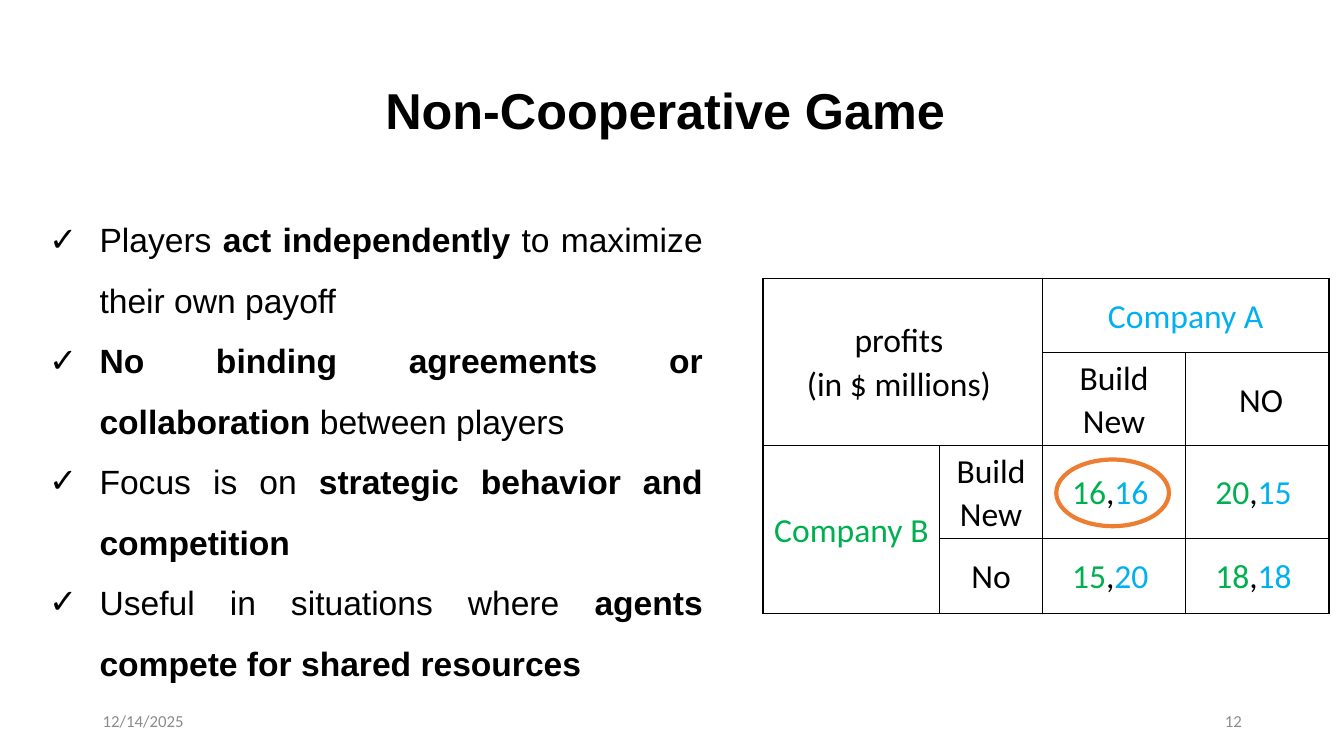
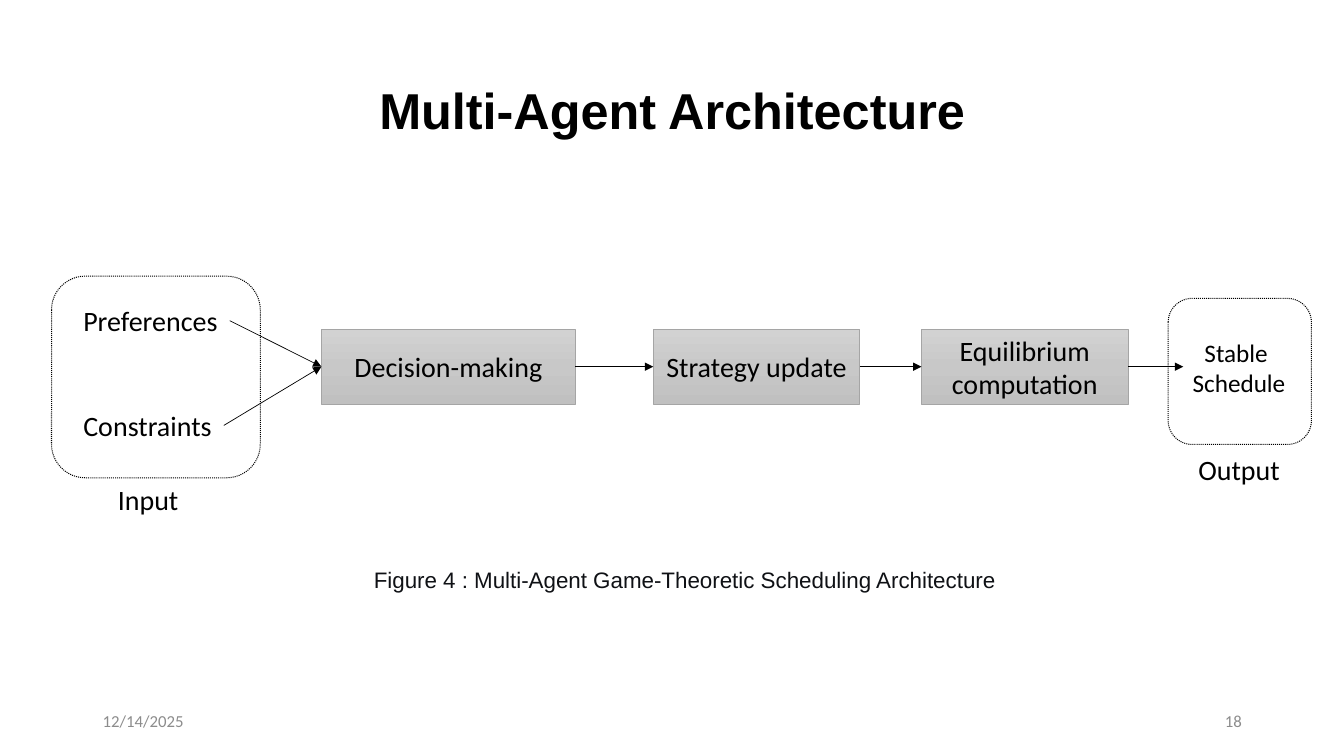
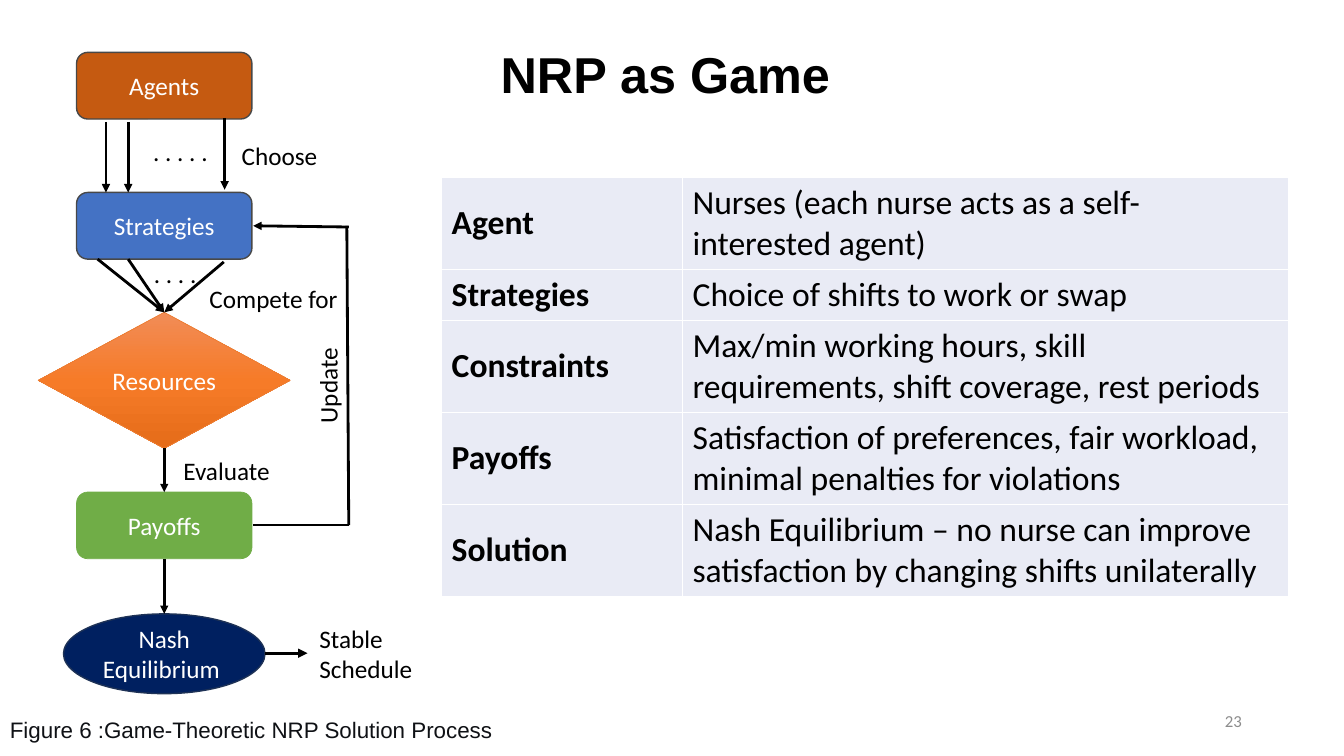
"""Build three slides on game theory for nurse rostering."""
from copy import deepcopy
from dataclasses import dataclass

from lxml import etree
from pptx import Presentation
from pptx.dml.color import RGBColor
from pptx.enum.dml import MSO_LINE
from pptx.enum.shapes import MSO_CONNECTOR, MSO_SHAPE
from pptx.enum.text import MSO_ANCHOR, PP_ALIGN
from pptx.oxml.ns import qn
from pptx.util import Cm, Pt

LEFT, CENTER = PP_ALIGN.LEFT, PP_ALIGN.CENTER
RIGHT, JUSTIFY = PP_ALIGN.RIGHT, PP_ALIGN.JUSTIFY
TOP, MIDDLE = MSO_ANCHOR.TOP, MSO_ANCHOR.MIDDLE
RECTANGLE, ROUNDED = MSO_SHAPE.RECTANGLE, MSO_SHAPE.ROUNDED_RECTANGLE
ELLIPSE, DECISION = MSO_SHAPE.OVAL, MSO_SHAPE.FLOWCHART_DECISION
STRAIGHT, DOTTED = MSO_CONNECTOR.STRAIGHT, MSO_LINE.ROUND_DOT


@dataclass(frozen=True)
class Theme:
    """Colours, fonts and type sizes shared by the slides."""
    heading_font: str = "Arial"
    body_font: str = "Calibri"
    black: str = "000000"
    white: str = "FFFFFF"
    footer: str = "8C8C8C"
    caption: str = "0F1115"
    player_a: str = "00B0F0"
    player_b: str = "00B050"
    accent: str = "ED7D31"
    table_fill: str = "E9EBF5"
    step_line: str = "A5A5A5"
    node_line: str = "484848"
    agents: str = "C55A11"
    strategies: str = "4472C4"
    payoffs: str = "70AD47"
    equilibrium: str = "002060"
    equilibrium_line: str = "1E3256"
    step_gradient: tuple = ("D2D2D2", "C8C8C8", "C0C0C0")
    resource_gradient: tuple = ("F18C57", "F67B28", "E56C19")
    title_size: int = 36
    body_size: int = 24
    diagram_size: int = 20
    label_size: int = 18
    caption_size: int = 16
    footer_size: int = 12


THEME = Theme()


def rgb(value):
    """Turn a hex string into a colour."""
    return RGBColor.from_string(value)


def add_bullet(para, symbol, indent):
    """Give a paragraph a hanging bullet."""
    properties = para._p.get_or_add_pPr()
    properties.set("marL", str(Cm(indent)))
    properties.set("indent", str(-Cm(indent)))
    etree.SubElement(properties, qn("a:buFont")).set("typeface", "Wingdings")
    etree.SubElement(properties, qn("a:buChar")).set("char", symbol)
    properties.find(qn("a:buFont")).set("typeface", "Arial")


def write(frame, paragraphs, size=THEME.label_size, font=THEME.body_font,
          color=THEME.black, bold=False, align=LEFT, spacing=None, bullet=None):
    """Fill a text frame; a paragraph is a string or a list of (text, format) spans."""
    for index, spans in enumerate(paragraphs):
        para = frame.add_paragraph() if index else frame.paragraphs[0]
        para.alignment = align
        if spacing:
            para.line_spacing = spacing
        if bullet:
            add_bullet(para, bullet, 1.27)
        for text, changes in [(spans, {})] if isinstance(spans, str) else spans:
            span = para.add_run()
            span.text = text
            span.font.name = font
            span.font.size = Pt(size)
            span.font.bold = changes.get("bold", bold)
            span.font.color.rgb = rgb(changes.get("color", color))


def add_text(page, place, *paragraphs, anchor=TOP, wrap=True, vertical=None, **style):
    """Add a text box at a place given in centimetres."""
    frame = page.shapes.add_textbox(*map(Cm, place)).text_frame
    frame.word_wrap = wrap
    frame.vertical_anchor = anchor
    if vertical:
        frame._txBody.bodyPr.set("vert", vertical)
    write(frame, paragraphs, **style)


def paint(shape, fill):
    """Fill a shape with nothing, one colour or a vertical three-colour gradient."""
    if fill is None:
        shape.fill.background()
    elif isinstance(fill, str):
        shape.fill.solid()
        shape.fill.fore_color.rgb = rgb(fill)
    else:
        shape.fill.gradient()
        shape.fill.gradient_angle = 270
        stops = shape._element.spPr.find(qn("a:gradFill")).find(qn("a:gsLst"))
        stops.insert(1, deepcopy(stops[0]))
        for index, stop in enumerate(shape.fill.gradient_stops):
            stop.position = index / 2
            stop.color.rgb = rgb(fill[index])


def add_box(page, kind, place, text=None, fill=None, line=THEME.black, width=1,
            dash=None, **style):
    """Add a preset shape with optional centred text."""
    box = page.shapes.add_shape(kind, *map(Cm, place))
    box.shadow.inherit = False
    paint(box, fill)
    box.line.color.rgb = rgb(line)
    box.line.width = Pt(width)
    if dash:
        box.line.dash_style = dash
    if text:
        box.text_frame.word_wrap = True
        box.text_frame.vertical_anchor = MIDDLE
        write(box.text_frame, [text], align=CENTER, **style)


def add_line(page, start, end, width=2, arrow=True):
    """Add a straight line, with an arrowhead at its end if asked."""
    connector = page.shapes.add_connector(STRAIGHT, *map(Cm, (*start, *end)))
    connector.line.color.rgb = rgb(THEME.black)
    connector.line.width = Pt(width)
    properties = connector._element.spPr
    if arrow:
        outline = properties.find(qn("a:ln"))
        etree.SubElement(outline, qn("a:tailEnd")).set("type", "triangle")
    etree.SubElement(properties, qn("a:effectLst"))


def add_borders(cell, color):
    """Draw a one-point line on each side of a table cell."""
    properties = cell._tc.get_or_add_tcPr()
    for side in ("a:lnL", "a:lnR", "a:lnT", "a:lnB"):
        line = etree.SubElement(properties, qn(side))
        line.set("w", str(Pt(1)))
        fill = etree.SubElement(line, qn("a:solidFill"))
        etree.SubElement(fill, qn("a:srgbClr")).set("val", color)


def add_grid(page, corner, widths, heights, border, fill=None, margins=None):
    """Add an empty table with plain borders and return it."""
    size = (sum(widths), sum(heights))
    table = page.shapes.add_table(len(heights), len(widths),
                                  *map(Cm, (*corner, *size))).table
    table.first_row = table.horz_banding = False
    for column, width in zip(table.columns, widths):
        column.width = Cm(width)
    for row, height in zip(table.rows, heights):
        row.height = Cm(height)
    for cell in table.iter_cells():
        add_borders(cell, border)
        cell.vertical_anchor = MIDDLE
        if fill:
            cell.fill.solid()
            cell.fill.fore_color.rgb = rgb(fill)
        else:
            cell.fill.background()
        if margins:
            cell.margin_left = cell.margin_right = Cm(margins[0])
            cell.margin_top = cell.margin_bottom = Cm(margins[1])
    return table


def add_page(deck, title, number, title_top=1.02, date=None):
    """Add a blank slide with its title and footer."""
    page = deck.slides.add_slide(deck.slide_layouts[6])
    add_text(page, (2.34, title_top, 29.21, 3.68), title, anchor=MIDDLE,
             size=THEME.title_size, font=THEME.heading_font, bold=True,
             align=CENTER, spacing=0.9)
    for left, text, align in ((2.34, date, LEFT), (23.93, number, RIGHT)):
        if text:
            add_text(page, (left, 17.65, 7.62, 1.02), text, anchor=MIDDLE,
                     size=THEME.footer_size, color=THEME.footer, align=align)
    return page


def add_caption(page, left, top, text):
    """Add a figure caption."""
    add_text(page, (left, top, 16.92, 0.94), text, size=THEME.caption_size,
             font=THEME.heading_font, color=THEME.caption)


def payoff(profit_b, profit_a):
    """Return one table paragraph with both players' profits."""
    return [[(profit_b, {"color": THEME.player_b}), (",", {}),
             (profit_a + " ", {"color": THEME.player_a})]]


def build_game(deck, date):
    """Build the slide on non-cooperative games."""
    page = add_page(deck, "Non-Cooperative Game ", "12", date=date)
    strong = {"bold": True}
    add_text(
        page, (0.99, 4.93, 16.97, 12.37),
        [("Players ", {}), ("act independently", strong),
         (" to maximize their own payoff", {})],
        [("No binding agreements or collaboration", strong),
         (" between players", {})],
        [("Focus is on ", {}), ("strategic behavior and competition", strong)],
        [("Useful in situations where ", {}),
         ("agents compete for shared resources", strong)],
        anchor=MIDDLE, size=THEME.body_size, font=THEME.heading_font,
        align=JUSTIFY, spacing=1.5, bullet="✓")
    add_box(page, ELLIPSE, (26.62, 11.58, 2.84, 1.68), fill=THEME.white,
            line=THEME.accent, width=3)
    table = add_grid(page, (19.23, 7.01), (4.45, 2.59, 3.61, 3.61),
                     (1.88, 2.34, 2.34, 1.88), THEME.black, margins=(0.18, 0))
    for first, last in (((0, 0), (1, 1)), ((0, 2), (0, 3)), ((2, 0), (3, 0))):
        table.cell(*first).merge(table.cell(*last))
    entries = {
        (0, 0): ["profits ", "(in $ millions) "],
        (0, 2): [[("Company A", {"color": THEME.player_a})]],
        (1, 2): ["Build New"],
        (1, 3): [" NO"],
        (2, 0): [[("Company B", {"color": THEME.player_b})]],
        (2, 1): ["Build New"],
        (2, 2): payoff("16", "16"),
        (2, 3): payoff("20", "15"),
        (3, 1): ["No"],
        (3, 2): payoff("15", "20"),
        (3, 3): payoff("18", "18"),
    }
    for position, paragraphs in entries.items():
        write(table.cell(*position).text_frame, paragraphs,
              size=THEME.body_size, align=CENTER, spacing=1.07)


def build_architecture(deck, date):
    """Build the slide on the multi-agent architecture."""
    page = add_page(deck, "Multi-Agent Architecture", "18", date=date)
    middle, height = 9.24, 1.88
    for left, width, text in ((8.1, 6.4, "Decision-making"),
                              (16.46, 5.21, "Strategy update"),
                              (23.22, 5.21, "Equilibrium computation")):
        add_box(page, RECTANGLE, (left, middle - height / 2, width, height), text,
                fill=THEME.step_gradient, line=THEME.step_line, width=0.5,
                size=THEME.diagram_size)
    for start, end in ((14.5, 16.46), (21.67, 23.22), (28.43, 29.82)):
        add_line(page, (start, middle), (end, middle), width=0.5)
    for start in ((5.79, 8.08), (5.64, 10.72)):
        add_line(page, start, (8.1, middle), width=0.5)
    for place in ((1.3, 6.96, 5.26, 5.08), (29.44, 7.52, 3.61, 3.68)):
        add_box(page, ROUNDED, place, width=0.75, dash=DOTTED)
    for left, top, width, text in ((1.85, 7.52, 3.94, "Preferences"),
                                   (1.85, 10.16, 3.78, "Constraints"),
                                   (2.72, 12.04, 2.06, "Input"),
                                   (29.95, 11.28, 2.59, "Output")):
        add_text(page, (left, top, width, 1.12), text, wrap=False,
                 size=THEME.diagram_size)
    add_text(page, (29.79, 8.38, 2.87, 1.8), "Stable ", "Schedule", wrap=False,
             align=CENTER)
    add_caption(page, 9.17, 14.15,
                "Figure 4 : Multi-Agent Game-Theoretic Scheduling Architecture")


def build_process(page):
    """Draw the solution process as a flow chart."""
    axis = 4.14
    nodes = (
        (ROUNDED, 1.32, 4.42, 1.68, "Agents", THEME.agents, THEME.node_line, 1),
        (ROUNDED, 4.85, 4.42, 1.68, "Strategies", THEME.strategies,
         THEME.node_line, 1),
        (DECISION, 7.87, 6.35, 3.43, "Resources", THEME.resource_gradient,
         THEME.accent, 0.5),
        (ROUNDED, 12.4, 4.42, 1.68, "Payoffs", THEME.payoffs, THEME.payoffs, 0.5),
        (ELLIPSE, 15.47, 5.08, 2.01, "Nash Equilibrium ", THEME.equilibrium,
         THEME.equilibrium_line, 1),
    )
    for kind, top, width, height, text, fill, line, weight in nodes:
        add_box(page, kind, (axis - width / 2, top, width, height), text,
                fill=fill, line=line, width=weight, color=THEME.white)
    for left, top, bottom in ((2.67, 3.07, 4.85), (3.23, 3.07, 4.85),
                              (5.66, 2.97, 4.78)):
        add_line(page, (left, top), (left, bottom))
    for start in ((2.46, 6.53), (5.64, 6.6), (3.23, 6.53)):
        add_line(page, start, (axis, 7.87))
    for top, bottom in ((11.3, 12.4), (14.08, 15.47)):
        add_line(page, (axis, top), (axis, bottom), width=1.75)
    add_line(page, (6.68, 16.46), (7.75, 16.46), width=2.25)
    add_line(page, (6.38, 13.23), (8.79, 13.23), arrow=False)
    add_line(page, (8.79, 13.23), (8.74, 5.69), arrow=False)
    add_line(page, (8.79, 5.72), (6.38, 5.69))
    for left, top, width, text in ((3.61, 3.3, 2.06, ". . . . ."),
                                   (3.63, 6.38, 1.75, ". . . ."),
                                   (5.84, 3.4, 2.44, "Choose"),
                                   (5.03, 7.01, 3.78, "Compete for"),
                                   (4.37, 11.35, 2.72, "Evaluate")):
        add_text(page, (left, top, width, 1.02), text, wrap=False)
    add_text(page, (7.8, 15.57, 2.87, 1.8), "Stable", "Schedule", wrap=False)
    add_text(page, (7.75, 8.74, 1.27, 2.18), "Update", wrap=False,
             vertical="vert270")


def build_rostering(deck):
    """Build the slide that states nurse rostering as a game."""
    page = add_page(deck, "NRP as Game ", "23", title_top=0.1)
    rows = (
        ("Agent", "Nurses (each nurse acts as a self-interested agent)"),
        ("Strategies", "Choice of shifts to work or swap"),
        ("Constraints", "Max/min working hours, skill requirements, "
                        "shift coverage, rest periods"),
        ("Payoffs", "Satisfaction of preferences, fair workload, "
                    "minimal penalties for violations"),
        ("Solution", "Nash Equilibrium – no nurse can improve satisfaction "
                     "by changing shifts unilaterally"),
    )
    table = add_grid(page, (11.13, 4.47), (6.07, 15.27),
                     (2.32, 1.28, 2.32, 2.32, 2.32), THEME.white,
                     fill=THEME.table_fill)
    for row, texts in enumerate(rows):
        for column, text in enumerate(texts):
            write(table.cell(row, column).text_frame, [text],
                  size=THEME.body_size, bold=column == 0)
    build_process(page)
    add_caption(page, 0, 17.91, "Figure 6 :Game-Theoretic NRP Solution Process")


def main():
    """Build and save the deck."""
    deck = Presentation()
    deck.slide_width, deck.slide_height = Cm(33.87), Cm(19.05)
    date = "12/14/2025"
    build_game(deck, date)
    build_architecture(deck, date)
    build_rostering(deck)
    deck.save("out.pptx")


if __name__ == "__main__":
    main()
